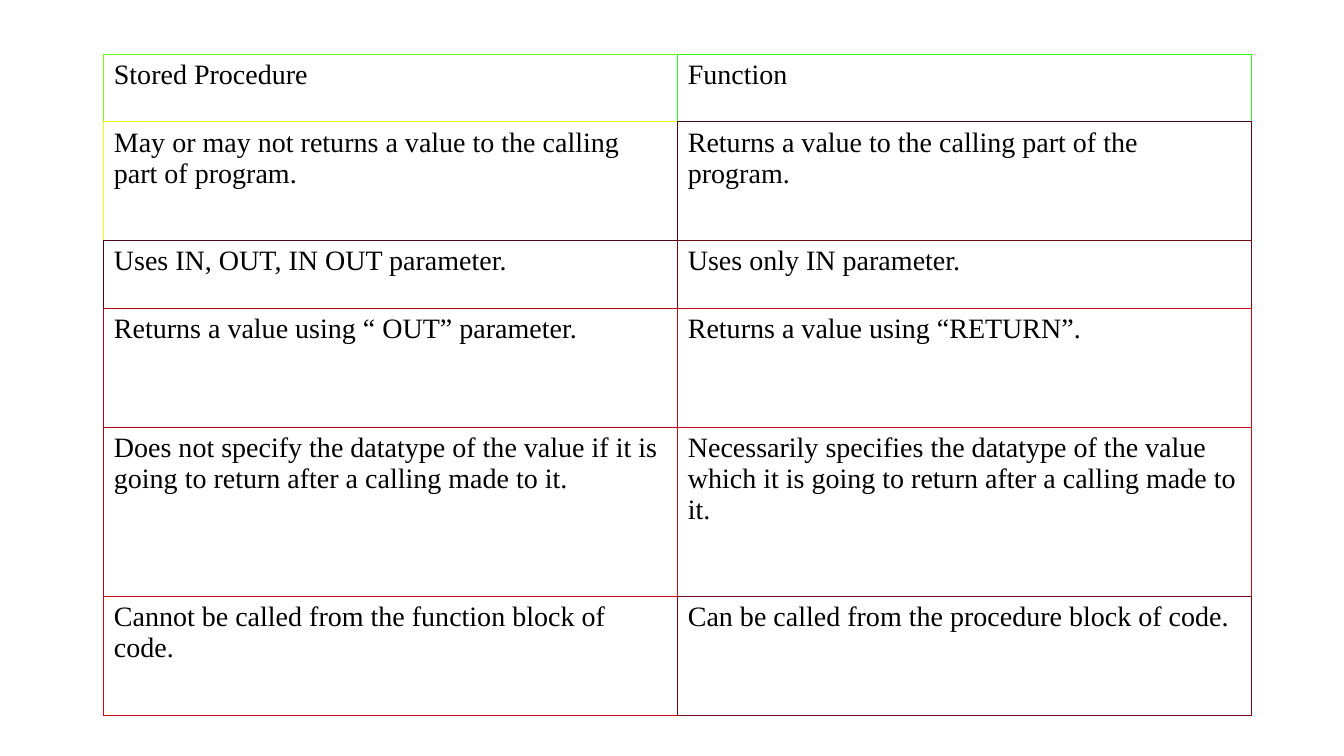
from lxml import etree
from pptx import Presentation
from pptx import util as u
from pptx.dml import color
from pptx.oxml import ns

COLORS = {
    "text": "000000", "paper": "FFFFFF", "lime": "70FC15", "green": "30FF15",
    "yellow": "F0FC15", "plum": "500216", "maroon": "700916",
    "wine": "700716", "crimson": "B00216", "ruby": "B00416", "red": "D00616",
}

# Each row: height, then (text, border colour) for the two columns.
ROWS = [
    (48.24, ("Stored Procedure", "lime"), ("Function", "green")),
    (84.96, ("May or may not returns a value to the calling part of program.", "yellow"),
     ("Returns a value to the calling part of the program.", "plum")),
    (48.24, ("Uses IN, OUT, IN OUT parameter.", "plum"),
     ("Uses only IN parameter.", "maroon")),
    (84.96, ("Returns a value using “ OUT” parameter.", "crimson"),
     ("Returns a value using “RETURN”.", "red")),
    (120.96, ("Does not specify the datatype of the value if it is going to return "
              "after a calling made to it.", "ruby"),
     ("Necessarily specifies the datatype of the value which it is going to return "
      "after a calling made to it.", "red")),
    (84.96, ("Cannot be called from the function block of code.", "red"),
     ("Can be called from the procedure block of code.", "wine")),
]


class SlideBuilder:
    """Holds the text style and the current slide."""

    font, size, border = "Times New Roman", u.Pt(20), u.Pt(0.75)

    def __init__(self, slide):
        """Keep the slide to draw on."""
        self.slide = slide

    def rgb(self, name):
        """Return the named colour."""
        return color.RGBColor.from_string(COLORS[name])

    def borders(self, cell, sides):
        """Draw the cell's borders from a dict of side to colour name."""
        properties = cell._tc.get_or_add_tcPr()
        for side in "LRTB":
            line = etree.SubElement(properties, ns.qn(f"a:ln{side}"), w=str(self.border))
            fill = etree.SubElement(line, ns.qn("a:solidFill"))
            etree.SubElement(fill, ns.qn("a:srgbClr"), val=COLORS[sides[side]])

    def add_text(self, cell, words):
        """Put one styled run in the cell."""
        run = cell.text_frame.paragraphs[0].add_run()
        run.text = words
        run.font.name, run.font.size = self.font, self.size
        run.font.color.rgb = self.rgb("text")

    def table(self, left, top, column_width, rows):
        """Add a table whose shared borders take the right or lower cell's colour."""
        heights = [row[0] for row in rows]
        cells = [row[1:] for row in rows]
        last_row, last_column = len(cells) - 1, len(cells[0]) - 1
        table = self.slide.shapes.add_table(
            len(cells), len(cells[0]), u.Pt(left), u.Pt(top),
            u.Pt(column_width * len(cells[0])), u.Pt(sum(heights))).table
        table.first_row = table.horz_banding = False
        for column in table.columns:
            column.width = u.Pt(column_width)
        for r, height in enumerate(heights):
            table.rows[r].height = u.Pt(height)
            for c, (words, own) in enumerate(cells[r]):
                cell = table.cell(r, c)
                right = cells[r][min(c + 1, last_column)][1]
                below = cells[min(r + 1, last_row)][c][1]
                self.borders(cell, {"L": own, "R": right, "T": own, "B": below})
                cell.fill.solid()
                cell.fill.fore_color.rgb = self.rgb("paper")
                self.add_text(cell, words)


def main():
    """Build and save the comparison slide."""
    presentation = Presentation()
    presentation.slide_width, presentation.slide_height = u.Pt(960), u.Pt(540)
    slide = presentation.slides.add_slide(presentation.slide_layouts[6])
    SlideBuilder(slide).table(74.16, 38.88, 410, ROWS)
    presentation.save("out.pptx")


main()
